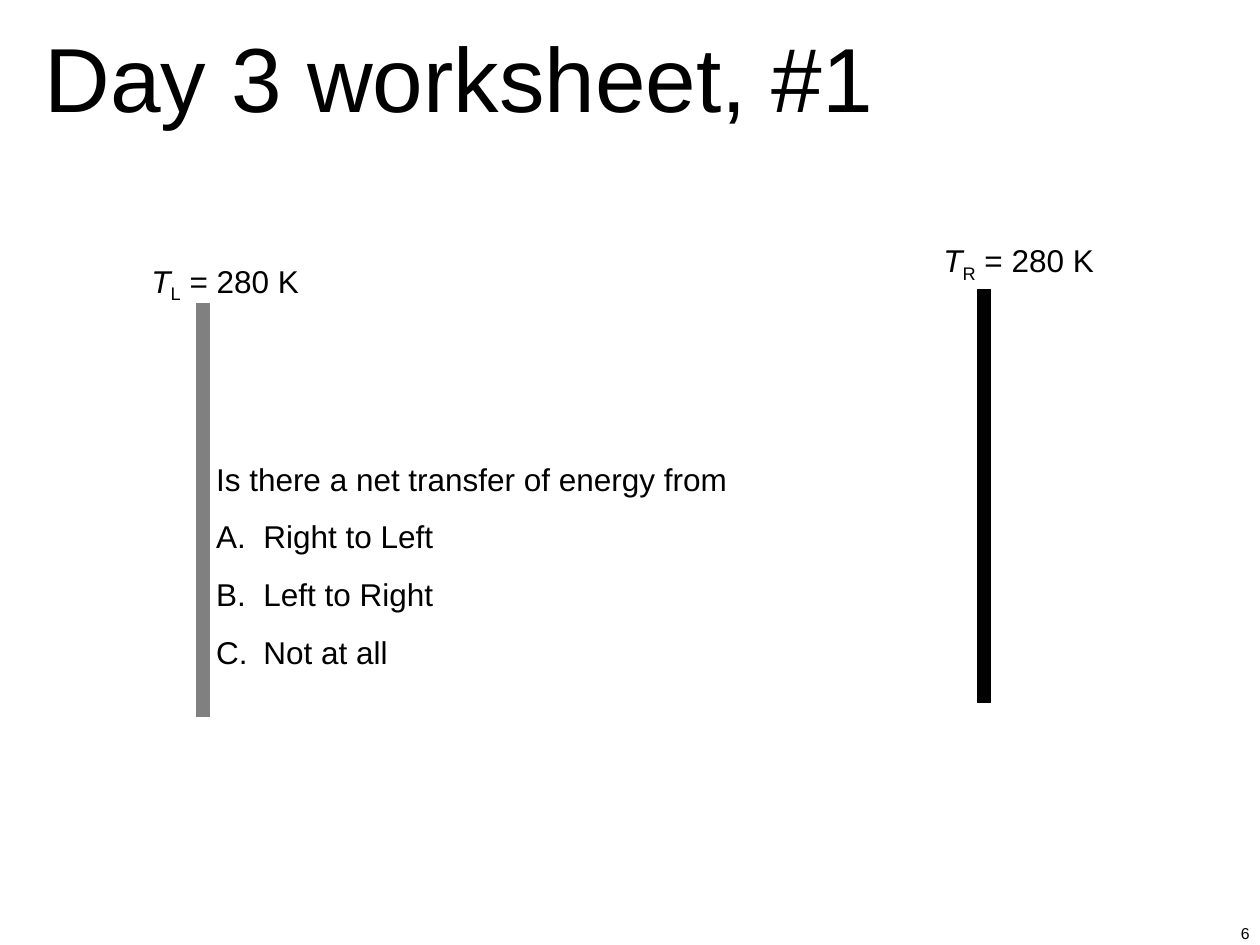
from lxml import etree
from pptx import Presentation
from pptx.dml.color import RGBColor
from pptx.enum.shapes import MSO_CONNECTOR
from pptx.enum.text import MSO_AUTO_SIZE, PP_ALIGN
from pptx.oxml.ns import qn
from pptx.util import Pt

LINE = MSO_CONNECTOR.STRAIGHT
CENTER = PP_ALIGN.CENTER
GROW = MSO_AUTO_SIZE.SHAPE_TO_FIT_TEXT


def color(code):
    return RGBColor.from_string(code)


class Sheet:
    face = "Arial"
    ink = "000000"
    size = 18
    pad = 4.5
    lead = 0.93
    gap = 13

    def __init__(self, slide):
        self.slide = slide

    def box(self, x, y, w, h, pad=pad, wrap=True):
        frame = self.slide.shapes.add_textbox(Pt(x), Pt(y), Pt(w), Pt(h)).text_frame
        frame.margin_left = frame.margin_right = Pt(pad)
        frame.margin_top = frame.margin_bottom = Pt(pad)
        frame.word_wrap = wrap
        frame.auto_size = GROW
        return frame

    def style(self, para, size=size, lead=lead, left=3, hang=0):
        """Set indents, line spacing and font of a paragraph."""
        props = para._p.get_or_add_pPr()
        props.set("marL", str(Pt(left)))
        props.set("indent", str(Pt(-hang)))
        para.line_spacing = lead
        para.font.name = self.face
        para.font.size = Pt(size)
        para.font.color.rgb = color(self.ink)

    def title(self, x, y, w, h, text):
        para = self.box(x, y, w, h, pad=3, wrap=False).paragraphs[0]
        para.text = text
        self.style(para, size=52)

    def number(self, x, y, w, h, text):
        para = self.box(x, y, w, h, wrap=False).paragraphs[0]
        para.text = text
        para.alignment = CENTER
        self.style(para, size=9, lead=1.0, left=0)

    def wall(self, x, y, length, code):
        bar = self.slide.shapes.add_connector(LINE, Pt(x), Pt(y), Pt(x), Pt(y + length))
        bar.line.color.rgb = color(code)
        bar.line.width = Pt(8)
        etree.SubElement(bar._element.spPr, qn("a:effectLst"))

    def label(self, x, y, w, h, sub, value):
        """Write a temperature symbol with its subscript and value."""
        para = self.box(x, y, w, h).paragraphs[0]
        self.style(para)
        runs = [para.add_run() for _ in range(3)]
        for run, text in zip(runs, ("T", sub, f" = {value}")):
            run.text = text
        runs[0].font.italic = True
        runs[1]._r.get_or_add_rPr().set("baseline", "-25000")

    def quiz(self, x, y, w, h, ask, picks):
        """Write a question and its lettered answers."""
        frame = self.box(x, y, w, h)
        head = frame.paragraphs[0]
        head.text = ask
        self.style(head)
        for pick in picks:
            para = frame.add_paragraph()
            para.text = pick
            mark = etree.SubElement(para._p.get_or_add_pPr(), qn("a:buAutoNum"))
            mark.set("type", "alphaUcPeriod")
            para.space_before = Pt(self.gap)
            self.style(para, left=30, hang=27)


def main():
    deck = Presentation()
    deck.slide_width, deck.slide_height = Pt(720), Pt(540)
    sheet = Sheet(deck.slides.add_slide(deck.slide_layouts[6]))

    sheet.title(19.5, 15, 490, 65, "Day 3 worksheet, #1")
    sheet.number(702.5, 523.5, 18, 19, "6")
    sheet.wall(116, 173, 237, "808080")
    sheet.label(79, 145, 115, 28, "L", "280 K")
    sheet.quiz(116, 260, 462, 129, "Is there a net transfer of energy from",
               ("Right to Left", "Left to Right", "Not at all"))
    sheet.wall(562.5, 165, 237, "000000")
    sheet.label(531.5, 133.5, 107, 28, "R", "280 K")

    deck.save("out.pptx")


if __name__ == "__main__":
    main()
